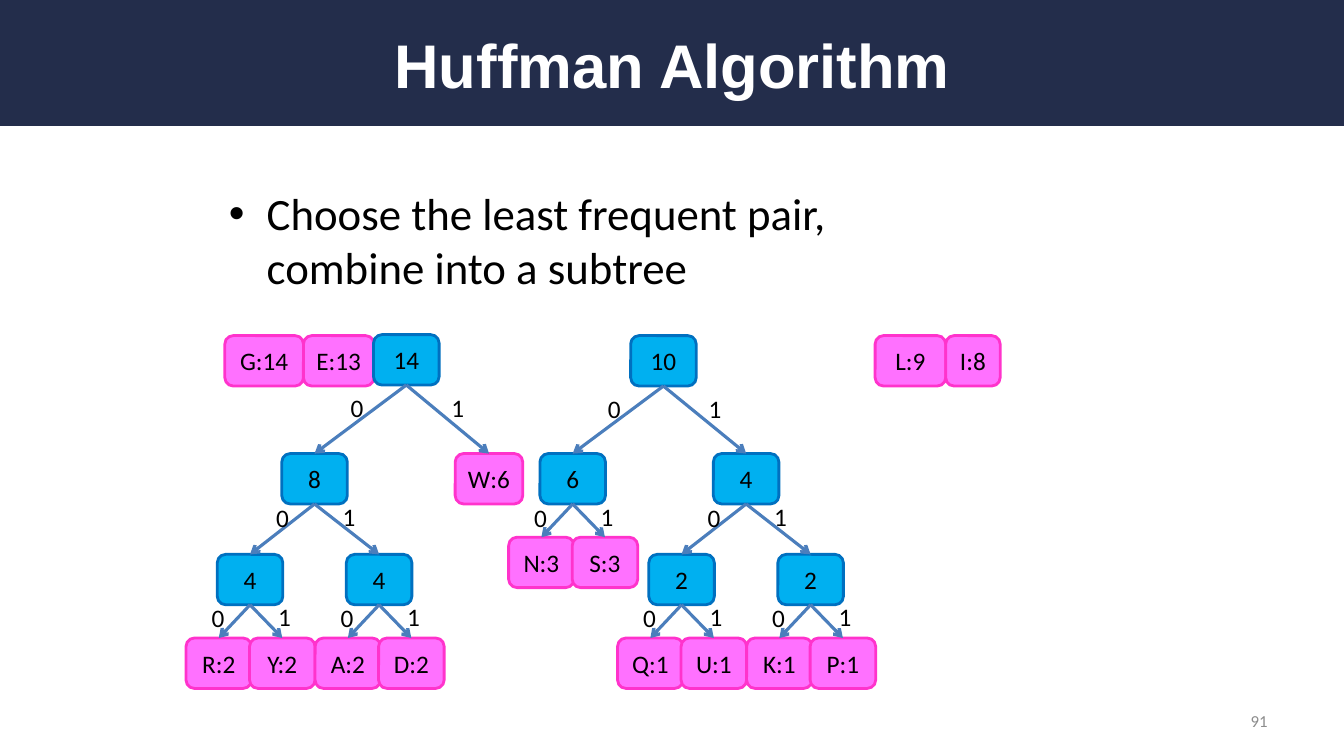
from dataclasses import dataclass

from lxml import etree
from pptx import Presentation
from pptx.dml.color import RGBColor
from pptx.enum.shapes import MSO_CONNECTOR, MSO_SHAPE
from pptx.enum.text import MSO_ANCHOR, MSO_AUTO_SIZE, PP_ALIGN
from pptx.oxml.ns import qn
from pptx.util import Pt

RECT, ROUNDED = MSO_SHAPE.RECTANGLE, MSO_SHAPE.ROUNDED_RECTANGLE
STRAIGHT = MSO_CONNECTOR.STRAIGHT
LEFT, CENTER, RIGHT = PP_ALIGN.LEFT, PP_ALIGN.CENTER, PP_ALIGN.RIGHT
TOP, MIDDLE = MSO_ANCHOR.TOP, MSO_ANCHOR.MIDDLE
FIXED, GROW = MSO_AUTO_SIZE.NONE, MSO_AUTO_SIZE.SHAPE_TO_FIT_TEXT


@dataclass(frozen=True)
class Theme:
    banner: str = "232D4B"
    leaf: tuple = ("FF71FF", "FF33CC")
    branch: tuple = ("00B0F0", "0070C0")
    edge: str = "4B7EBC"
    title: tuple = ("Arial", 44, "FFFFFF", True)
    body: tuple = ("Calibri", 32, "000000", False)
    label: tuple = ("Calibri", 18, "000000", False)
    number: tuple = ("Calibri", 12, "8C8C8C", False)
    outline_width: float = 2
    edge_width: float = 2.25


THEME = Theme()
PX = 9144  # 100 px to the inch
NODE_W, NODE_H = 65, 50
ROW_1, ROW_2 = 450, 550
PAIR_DROP = 83

# Content
TITLE = "Huffman Algorithm"
STEP = "Choose the least frequent pair, combine into a subtree"
PAGE = "91"

# Unmerged symbols: text, left, width
UNMERGED_TOP = 333
UNMERGED = [("G:14", 223, 78), ("E:13", 301, 70), ("L:9", 868, 70), ("I:8", 938, 54)]


def node(text, center, top, *children, width=NODE_W):
    return {"text": text, "center": center, "top": top, "width": width, "children": children}


def pair(text, center, top, zero, one):
    """A branch whose two children are leaves side by side."""
    return node(text, center, top,
                node(zero, center - 31, top + PAIR_DROP),
                node(one, center + 32, top + PAIR_DROP))


TREES = [
    node("10", 658, 333,
         pair("6", 568, ROW_1, "N:3", "S:3"),
         node("4", 740, ROW_1,
              pair("2", 676, ROW_2, "Q:1", "U:1"),
              pair("2", 804, ROW_2, "K:1", "P:1"))),
    node("14", 403, 332,
         node("8", 312, ROW_1,
              pair("4", 248, ROW_2, "R:2", "Y:2"),
              pair("4", 376, ROW_2, "A:2", "D:2")),
         node("W:6", 485, ROW_1, width=67)),
]

# Bit labels: text, left from the node's center, top from its bottom
ROOT_BITS = [("0", -65, 2), ("1", 35, 2)]
INNER_BITS = [("0", -48, -7), ("1", 18, -8)]

prs = Presentation()
prs.slide_width, prs.slide_height = 1333 * PX, 750 * PX
slide = prs.slides.add_slide(prs.slide_layouts[1])
shapes = slide.shapes


# Helpers
def color(value):
    return RGBColor.from_string(value)


def set_all(target, values):
    for name, value in values.items():
        setattr(target, name, value)


def box(left, top, width, height):
    return [n * PX for n in (left, top, width, height)]


def place(shape, *bounds):
    set_all(shape, dict(zip(("left", "top", "width", "height"), box(*bounds))))


def write(shape, text, style, align=CENTER, **frame_format):
    frame = shape.text_frame
    set_all(frame, {"text": text, "word_wrap": True, "vertical_anchor": MIDDLE, **frame_format})
    paragraph = frame.paragraphs[0]
    paragraph.alignment = align
    family, size, ink, bold = style
    font = paragraph.runs[0].font
    set_all(font, {"name": family, "size": Pt(size), "bold": bold})
    font.color.rgb = color(ink)


def add_solid(kind, bounds, fill):
    shape = shapes.add_shape(kind, *box(*bounds))
    shape.shadow.inherit = False
    shape.fill.solid()
    shape.fill.fore_color.rgb = color(fill)
    return shape


def add_symbol(text, left, top, width, colors):
    fill, outline = colors
    symbol = add_solid(ROUNDED, (left, top, width, NODE_H), fill)
    symbol.line.color.rgb = color(outline)
    symbol.line.width = Pt(THEME.outline_width)
    write(symbol, text, THEME.label)
    return symbol


def add_edge(parent, child):
    edge = shapes.add_connector(STRAIGHT, 0, 0, 0, 0)
    edge.begin_connect(parent, 2)
    edge.end_connect(child, 0)
    edge.line.color.rgb = color(THEME.edge)
    edge.line.width = Pt(THEME.edge_width)
    etree.SubElement(edge.line._get_or_add_ln(), qn("a:tailEnd"), type="arrow")
    etree.SubElement(edge._element.spPr, qn("a:effectLst"))


def add_tree(tree, bits):
    children = [add_tree(child, INNER_BITS) for child in tree["children"]]
    center, top, width = tree["center"], tree["top"], tree["width"]
    colors = THEME.branch if children else THEME.leaf
    parent = add_symbol(tree["text"], center - width / 2, top, width, colors)
    for child, (bit, dx, dy) in zip(children, bits):
        add_edge(parent, child)
        bit_label = shapes.add_textbox(*[int(n) for n in box(center + dx, top + NODE_H + dy, 33, 40)])
        write(bit_label, bit, THEME.label, LEFT,
              word_wrap=False, vertical_anchor=TOP, auto_size=GROW)
    return parent


# Banner, title, step and page number
heading, step = slide.placeholders
banner = add_solid(RECT, (0, 0, 1333, 125), THEME.banner)
banner.line.fill.background()
heading._element.addprevious(banner._element)
place(heading, 67, 17, 1200, 92)
write(heading, TITLE, THEME.title, auto_size=FIXED)
place(step, 217, 175, 740, 125)
write(step, STEP, THEME.body, LEFT, auto_size=FIXED)
page_number = shapes.add_textbox(*box(956, 695, 311, 40))
write(page_number, PAGE, THEME.number, RIGHT)

# Unmerged symbols and trees
for text, left, width in UNMERGED:
    add_symbol(text, left, UNMERGED_TOP, width, THEME.leaf)
for tree in TREES:
    add_tree(tree, ROOT_BITS)

prs.save("out.pptx")
